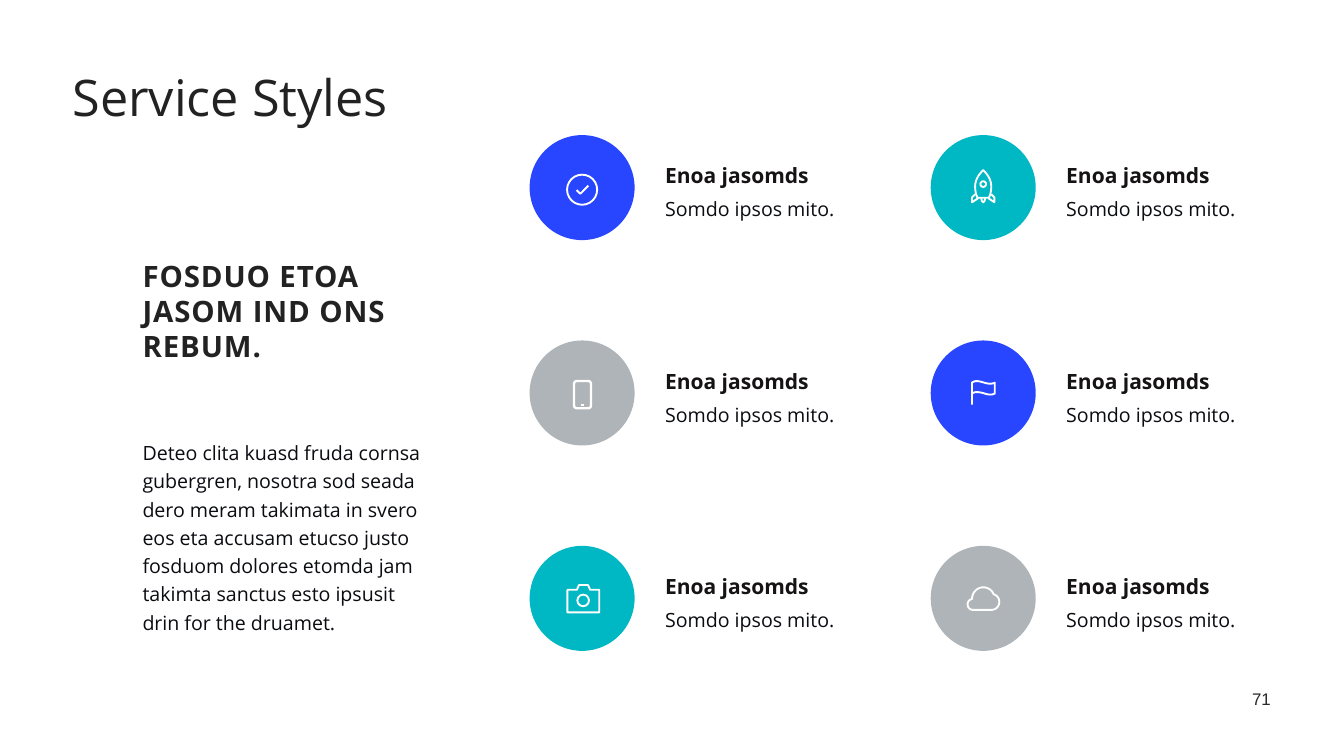
from pptx import Presentation
from pptx.util import Pt
from pptx.dml.color import RGBColor
from pptx.enum.shapes import MSO_SHAPE
from pptx.enum.text import MSO_ANCHOR, MSO_AUTO_SIZE, PP_ALIGN

BLUE = RGBColor(0x28, 0x46, 0xFF)
TEAL = RGBColor(0x00, 0xB7, 0xC4)
GRAY = RGBColor(0xAE, 0xB4, 0xB7)
WHITE = RGBColor(0xFF, 0xFF, 0xFF)
DARK = RGBColor(0x22, 0x22, 0x22)
HEAD = RGBColor(0x15, 0x13, 0x14)
BODY = RGBColor(0x0B, 0x0C, 0x11)
PAGE = RGBColor(0x24, 0x28, 0x2B)

deck = Presentation()
deck.slide_width, deck.slide_height = Pt(1920.24), Pt(1080)
slide = deck.slides.add_slide(deck.slide_layouts[5])
shapes = slide.shapes


def write(box, text, size, color, bold=False, space=1.0, face="Open Sans", inset=3.6):
    frame = box.text_frame
    frame.word_wrap = True
    frame.auto_size = MSO_AUTO_SIZE.NONE
    frame.vertical_anchor = MSO_ANCHOR.TOP
    frame.margin_left = frame.margin_right = Pt(inset)
    frame.margin_top = frame.margin_bottom = Pt(inset)
    frame.text = text
    line = frame.paragraphs[0]
    line.alignment = PP_ALIGN.LEFT
    line.line_spacing = space
    font = line.font
    font.name, font.size, font.bold = face, Pt(size), bold
    font.color.rgb = color
    return line


def trace(x, y, points, curved):
    if curved:
        knots = points
        points = [knots[0]]
        for i in range(0, len(knots) - 1, 3):
            a, b, c, d = knots[i:i + 4]
            for t in [n / 10 for n in range(1, 11)]:
                u = 1 - t
                points.append(tuple(
                    u**3 * a[k] + 3 * u * u * t * b[k] + 3 * u * t * t * c[k] + t**3 * d[k]
                    for k in (0, 1)))
    spots = [(Pt(x + px), Pt(y + py)) for px, py in points]
    path = shapes.build_freeform(*spots[0])
    path.add_line_segments(spots[1:], close=spots[0] == spots[-1])
    return path.convert_to_shape()


title = shapes.title
title.left, title.top, title.width, title.height = Pt(100), Pt(100), Pt(740), Pt(105)
write(title, "Service Styles", 72, DARK, space=0.9)

lead = write(shapes.add_textbox(Pt(200), Pt(364.5), Pt(400), Pt(178.5)),
             "FOSDUO ETOA JASOM IND ONS REBUM.", 42, DARK, bold=True)
lead.runs[0].font._element.set("spc", "130")
write(shapes.add_textbox(Pt(200), Pt(620), Pt(420), Pt(319)),
      "Deteo clita kuasd fruda cornsa gubergren, nosotra sod seada dero meram "
      "takimata in svero eos eta accusam etucso justo fosduom dolores etomda jam "
      "takimta sanctus esto ipsusit drin for the druamet.", 28, BODY, space=1.2)

hull = [(0, -25), (3, -22), (10, -15), (11.3, -5), (12, 3), (10.5, 9), (9, 12.5),
        (8.5, 14), (8, 14.5), (6, 14.5)]
hull += [(2, 14.5), (-2, 14.5)] + [(-x, y) for x, y in reversed(hull)]
fin = [(-11.5, 9.5), (-16, 14), (-16, 21), (-7, 15)]
flame = [(-2.8, 15), (-2, 19), (0, 21), (2, 19), (2.8, 15)]
flag = [(-16, 16.6), (-16, 16.6), (-16, -15), (-16, -15), (-10.5, -18.5), (-5, -16.5),
        (0.5, -15), (5.5, -13.5), (11, -12), (16.5, -14.7), (16.5, -14.7), (16.5, 0.9),
        (16.5, 0.9), (11, 3.5), (5.5, 2), (0.5, 0.3), (-5, -1), (-10.5, -2.5), (-16, 0.5)]
cloud = [(11.5, 16.5), (11.5, 16.5), (-14.5, 16.5), (-14.5, 16.5), (-19, 16.5), (-22.3, 13),
         (-22.3, 8.6), (-22.3, 4.5), (-19.5, 1.5), (-16, 0.9), (-16, -8.5), (-8.5, -15.8),
         (0, -15.8), (6.5, -15.8), (12.5, -12), (14.8, -6), (20, -4), (23, 0), (23, 5),
         (23, 11.5), (18, 16.5), (11.5, 16.5)]
camera = [(-21, -12.2), (-7.5, -12.2), (-4.5, -19), (8.5, -19), (11.5, -12.2),
          (24.5, -12.2), (24.5, 20), (-21, 20), (-21, -12.2)]

OVAL, ROUND = MSO_SHAPE.OVAL, MSO_SHAPE.ROUNDED_RECTANGLE
items = [
    (BLUE, 2.7, [(OVAL, 0, 3, 43, 43)], [([(-8, 3.5), (-2.5, 8.8), (9, -2.8)], False)]),
    (TEAL, 2.7, [(OVAL, 0, -5, 8.2, 8.2)],
     [(hull, True), (fin, False), ([(-x, y) for x, y in fin], False), (flame, False)]),
    (GRAY, 3.4, [(ROUND, 0.6, 2.4, 24.3, 39)], [([(-2, 17), (2.5, 17)], False)]),
    (BLUE, 2.7, [], [(flag, True)]),
    (TEAL, 2.7, [(OVAL, 1.5, 3, 16.6, 16.6)], [(camera, False)]),
    (GRAY, 2.7, [], [(cloud, True)]),
]

for i, (color, width, forms, paths) in enumerate(items):
    row, col = divmod(i, 2)
    left, top = 756.7 + col * 573.1, 193 + row * 293.4
    x, y = left + 75, top + 75
    disc = shapes.add_shape(OVAL, Pt(left), Pt(top), Pt(150), Pt(150))
    disc.shadow.inherit = False
    disc.fill.solid()
    disc.fill.fore_color.rgb = color
    disc.line.fill.background()

    marks = [shapes.add_shape(kind, Pt(x + dx - w / 2), Pt(y + dy - h / 2), Pt(w), Pt(h))
             for kind, dx, dy, w, h in forms]
    marks += [trace(x, y, points, curved) for points, curved in paths]
    for mark in marks:
        mark.shadow.inherit = False
        mark.fill.background()
        mark.line.color.rgb = WHITE
        mark.line.width = Pt(width)

    write(shapes.add_textbox(Pt(left + 190), Pt(top + 28.8), Pt(300), Pt(48)),
          "Enoa jasomds", 30, HEAD, bold=True, space=1.2)
    write(shapes.add_textbox(Pt(left + 190), Pt(top + 78.3), Pt(300), Pt(45.5)),
          "Somdo ipsos mito.", 28, BODY, space=1.2)

page = write(shapes.add_textbox(Pt(1720), Pt(980), Pt(100), Pt(36.7)),
             "71", 24, PAGE, face="Arial", inset=4.3)
page.alignment = PP_ALIGN.RIGHT

deck.save("out.pptx")
